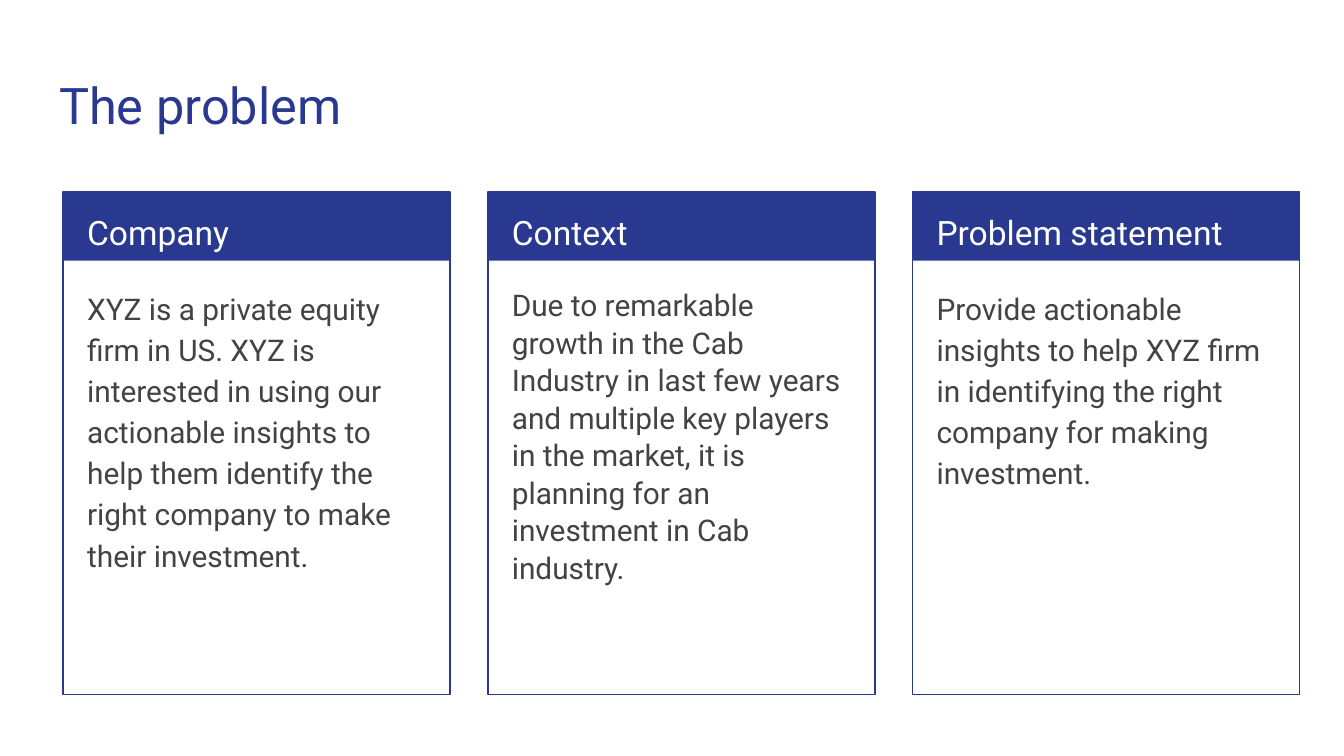
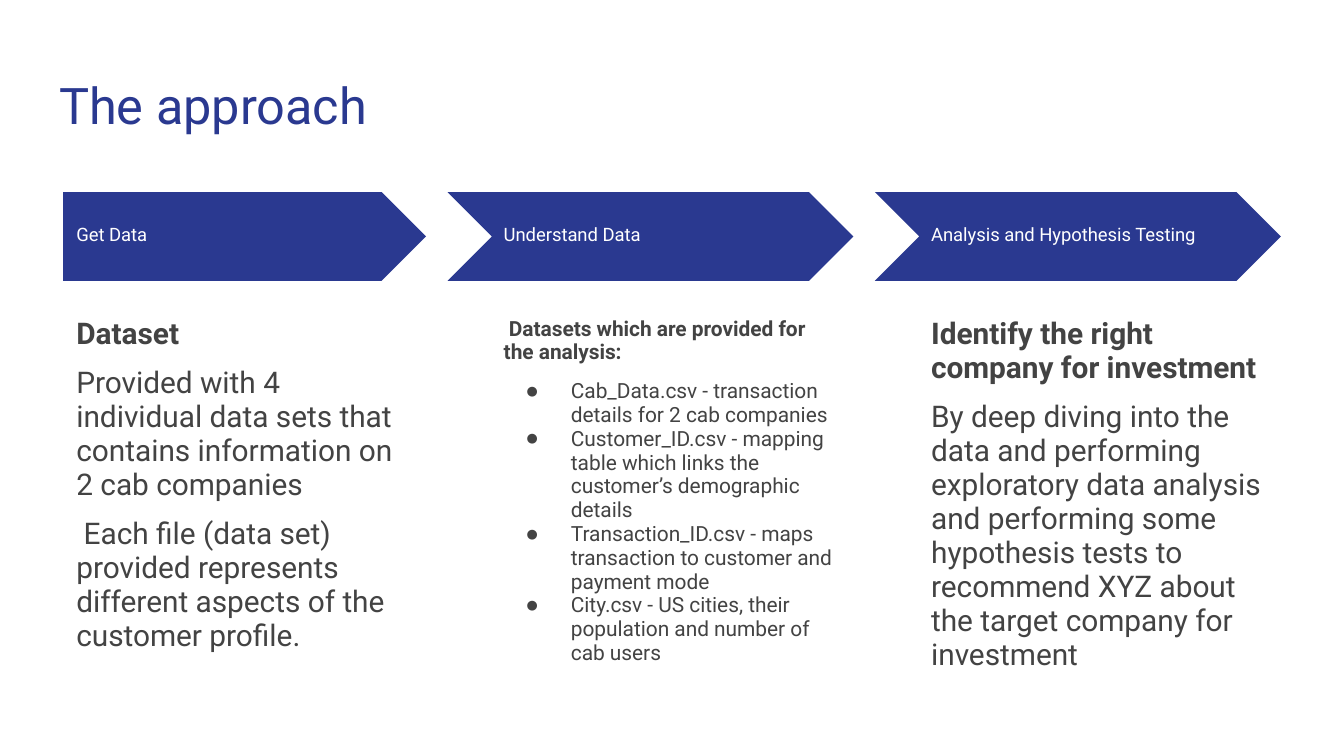
from lxml import etree
from pptx import Presentation
from pptx.dml.color import RGBColor
from pptx.enum.shapes import MSO_SHAPE
from pptx.enum.text import MSO_ANCHOR, MSO_AUTO_SIZE, PP_ALIGN
from pptx.oxml.ns import qn
from pptx.util import Inches, Pt

RECT, PLATE, CHEVRON = MSO_SHAPE.RECTANGLE, MSO_SHAPE.PENTAGON, MSO_SHAPE.CHEVRON
TOP, MIDDLE = MSO_ANCHOR.TOP, MSO_ANCHOR.MIDDLE
LEFT, NO_FIT = PP_ALIGN.LEFT, MSO_AUTO_SIZE.NONE
COLORS = {"blue": "2A3990", "gray": "434343", "white": "FFFFFF"}
FONT = "Roboto"
BAND_TOP = 1.43

CARDS = [
    ("Company", 1.15, "XYZ is a private equity firm in US. XYZ is interested in using our "
     "actionable insights to help them identify the right company to make their investment."),
    ("Context", 1.05, "Due to remarkable growth in the Cab Industry in last few years and "
     "multiple key players in the market, it is planning for an investment in Cab industry."),
    ("Problem statement", 1.15, "Provide actionable insights to help XYZ firm in identifying "
     "the right company for making investment."),
]
STEPS = [
    ("Get Data", 16, "Dataset", [
        "Provided with 4 individual data sets that contains information on 2 cab companies",
        " Each file (data set) provided represents different aspects of the customer profile. "],
     False),
    ("Understand Data", 11.2, " Datasets which are provided for the analysis:", [
        "Cab_Data.csv - transaction details for 2 cab companies",
        "Customer_ID.csv - mapping table which links the customer’s demographic details",
        "Transaction_ID.csv - maps transaction to customer and payment mode ",
        "City.csv - US cities, their population and number of cab users"],
     True),
    ("Analysis and Hypothesis Testing", 16, "Identify the right company for investment", [
        "By deep diving into the data and performing exploratory data analysis and performing "
        "some hypothesis tests to recommend XYZ about the target company for investment"],
     False),
]


def rgb(name):
    """Look up a named colour."""
    return RGBColor.from_string(COLORS[name])


def place(item, left, top, width, height):
    """Set an item's position and size in inches."""
    item.left, item.top = Inches(left), Inches(top)
    item.width, item.height = Inches(width), Inches(height)


def setup(frame, anchor=TOP):
    """Give a text frame its insets, wrapping and anchor."""
    frame.margin_left = frame.margin_right = Inches(0.1)
    frame.margin_top = frame.margin_bottom = Inches(0.1)
    frame.word_wrap = True
    frame.auto_size = NO_FIT
    frame.vertical_anchor = anchor
    return frame


def write(frame, text, size=16, color="gray", bold=False, line=None, before=0, bullet=False):
    """Write one formatted paragraph into a text frame."""
    para = frame.paragraphs[0]
    if para.runs:
        para = frame.add_paragraph()
    para.alignment = LEFT
    para.line_spacing = line
    para.space_before = Pt(before)
    run = para.add_run()
    run.text = text
    font = run.font
    font.name, font.size, font.bold = FONT, Pt(size), bold
    font.color.rgb = rgb(color)
    if bullet:
        mark(para, color)


def mark(para, color):
    """Add a small hanging round bullet to a paragraph."""
    props = para._p.get_or_add_pPr()
    props.set("marL", str(Inches(0.5)))
    props.set("indent", str(Inches(-0.33)))
    tint = etree.SubElement(props, qn("a:buClr"))
    etree.SubElement(tint, qn("a:srgbClr"), val=COLORS[color])
    etree.SubElement(props, qn("a:buSzPct"), val="62000")
    etree.SubElement(props, qn("a:buFont"), typeface=FONT)
    etree.SubElement(props, qn("a:buChar"), char="●")


def box(slide, left, top, width, height, anchor=TOP):
    """Add a text box and return its frame."""
    item = slide.shapes.add_textbox(0, 0, 0, 0)
    place(item, left, top, width, height)
    return setup(item.text_frame, anchor)


def shape(slide, kind, left, top, width, height, filled=True):
    """Add a blue shape, either filled or outlined."""
    item = slide.shapes.add_shape(kind, 0, 0, 0, 0)
    place(item, left, top, width, height)
    item.shadow.inherit = False
    if filled:
        item.fill.solid()
        item.fill.fore_color.rgb = rgb("blue")
        item.line.fill.background()
    else:
        item.fill.background()
        item.line.color.rgb = rgb("blue")
        item.line.width = Pt(0.75)


def start(deck, title):
    """Add a slide with a styled title."""
    slide = deck.slides.add_slide(deck.slide_layouts[5])
    head = slide.shapes.title
    place(head, 0.34, 0.45, 9.32, 0.66)
    write(setup(head.text_frame), title, size=27, color="blue")
    return slide


def card(slide, left, head, line, body):
    """Draw an outlined card with a filled heading band."""
    shape(slide, RECT, left, BAND_TOP, 2.88, 0.51)
    shape(slide, RECT, left, BAND_TOP, 2.88, 3.74, filled=False)
    write(box(slide, left + 0.08, BAND_TOP, 2.73, 0.5), head,
          size=18, color="white", line=1.15)
    write(box(slide, left + 0.08, 2.02, 2.71, 3.06), body, line=line)


def step(slide, left, first, label, size, head, items, listed):
    """Draw one process arrow with its label and notes."""
    if first:
        shape(slide, PLATE, left, BAND_TOP, 2.7, 0.66)
    else:
        shape(slide, CHEVRON, left - 0.32, BAND_TOP, 3.02, 0.66)
    write(box(slide, left, 1.59, 2.47, 0.34, MIDDLE), label,
          size=9.9, color="white", line=0.8)
    frame = box(slide, left, 2.26, 2.7, 2.9)
    write(frame, head, size=size, bold=True, line=0.95)
    for num, text in enumerate(items):
        gap = 0 if listed and num else 8
        write(frame, text, size=size, line=0.95, before=gap, bullet=listed)


def main():
    """Build and save the deck."""
    deck = Presentation()
    deck.slide_width = Inches(10)
    deck.slide_height = Inches(10 * 9 / 16)
    slide = start(deck, "The problem ")
    for num, data in enumerate(CARDS):
        card(slide, 0.47 + 3.16 * num, *data)
    slide = start(deck, "The approach")
    for num, data in enumerate(STEPS):
        step(slide, 0.47 + 3.18 * num, num == 0, *data)
    deck.save("out.pptx")


main()
